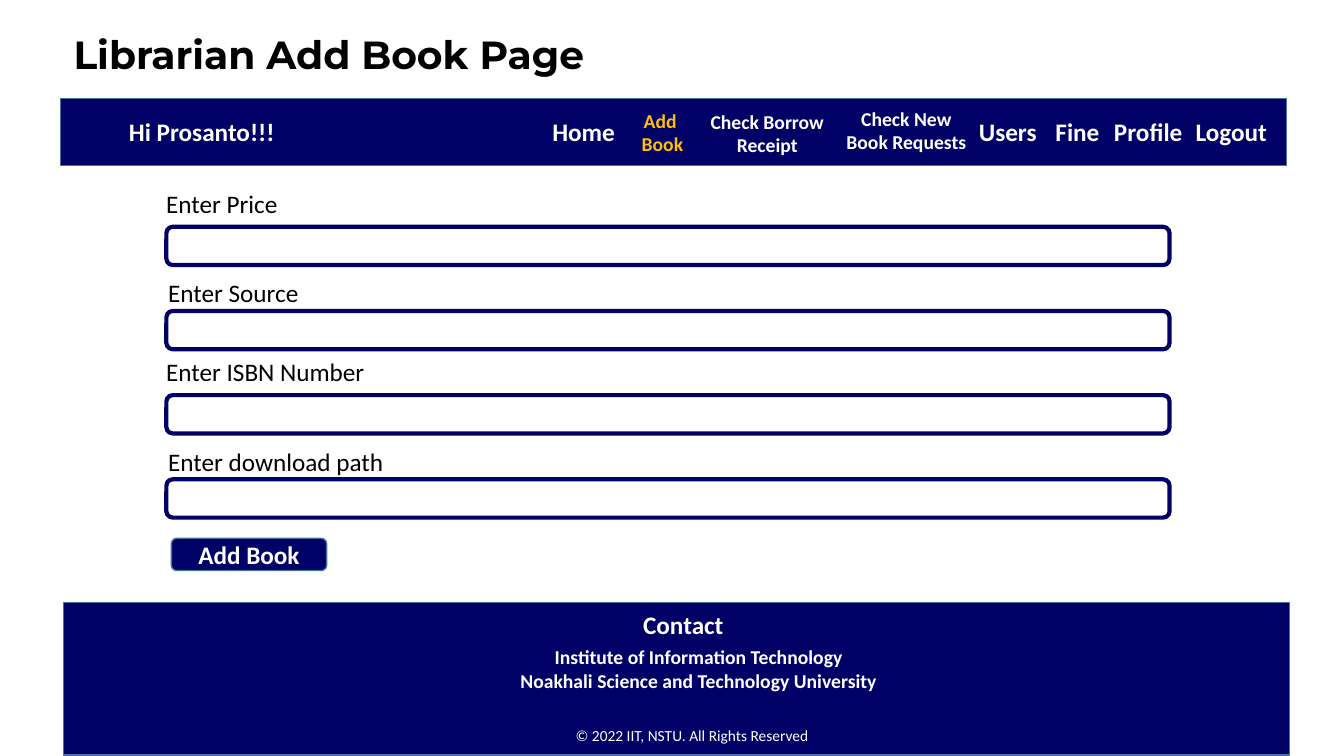
from pptx import Presentation
from pptx.dml.color import RGBColor
from pptx.enum.shapes import MSO_SHAPE
from pptx.enum.text import MSO_ANCHOR, PP_ALIGN
from pptx.util import Inches, Pt

RECT, ROUNDED = MSO_SHAPE.RECTANGLE, MSO_SHAPE.ROUNDED_RECTANGLE
LEFT, CENTER = PP_ALIGN.LEFT, PP_ALIGN.CENTER
MIDDLE = MSO_ANCHOR.MIDDLE
NAVY = RGBColor(0x00, 0x00, 0x66)
STEEL = RGBColor(0x43, 0x73, 0x9E)
GOLD = RGBColor(0xFF, 0xC0, 0x00)
WHITE = RGBColor(0xFF, 0xFF, 0xFF)
BLACK = RGBColor(0x00, 0x00, 0x00)

prs = Presentation()
prs.slide_width, prs.slide_height = Inches(13.33), Inches(7.5)
s = prs.slides.add_slide(prs.slide_layouts[5])


def write(text, box=None, sp=None, size=18, color=WHITE, bold=True,
          font="Calibri", align=LEFT, wrap=True):
    """Write text, one paragraph per line, in sp or in a new text box at box."""
    sp = sp or s.shapes.add_textbox(*map(Inches, box))
    tf = sp.text_frame
    tf.word_wrap = wrap
    for i, line in enumerate(text.split("\n")):
        p = tf.paragraphs[0] if i == 0 else tf.add_paragraph()
        p.alignment = align
        r = p.add_run()
        r.text = line
        r.font.name, r.font.size, r.font.bold = font, Pt(size), bold
        r.font.color.rgb = color
    return tf


def add_box(kind, box, fill=NAVY, line=STEEL, width=1):
    sp = s.shapes.add_shape(kind, *map(Inches, box))
    sp.shadow.inherit = False
    sp.fill.solid()
    sp.fill.fore_color.rgb = fill
    sp.line.color.rgb = line
    sp.line.width = Pt(width)
    return sp


# Title
title = s.shapes.title
title.left, title.top, title.width, title.height = map(Inches, (0.63, 0.32, 5.54, 0.49))
tf = write("Librarian Add Book Page", sp=title, size=28, color=BLACK, font="Montserrat")
tf.vertical_anchor = MIDDLE
tf.paragraphs[0].line_spacing = 0.9

# Navigation bar
add_box(RECT, (0.6, 0.98, 12.16, 0.66))
for text, left, top, width in [
    ("Hi Prosanto!!!", 1.18, 1.11, 1.72),
    ("Home", 5.38, 1.1, 0.83),
    ("Users", 9.61, 1.11, 0.78),
    ("Fine", 10.37, 1.11, 0.64),
    ("Profile", 10.95, 1.1, 0.89),
    ("Logout", 11.76, 1.1, 0.92),
]:
    write(text, (left, top, width, 0.4), wrap=False)

write("Add \nBook", (6.26, 1.03, 0.62, 0.57), size=14, color=GOLD, align=CENTER, wrap=False)
for text, left, top, width in [
    ("Check Borrow Receipt", 6.92, 1.04, 1.38),
    ("Check New Book Requests", 8.26, 1.01, 1.46),
]:
    write(text, (left, top, width, 0.57), size=14, align=CENTER)

# Form fields
FIELD_TOP, FIELD_PITCH = 2.25, 0.835
for i, (label, left, rise) in enumerate([
    ("Enter Price", 1.55, 0.43),
    ("Enter Source", 1.57, 0.38),
    ("Enter ISBN Number", 1.55, 0.43),
    ("Enter download path", 1.57, 0.38),
]):
    top = FIELD_TOP + i * FIELD_PITCH
    write(label, (left, top - rise, 3, 0.4), color=BLACK, bold=False)
    add_box(ROUNDED, (1.65, top, 9.95, 0.38), fill=WHITE, line=NAVY, width=3)

button = add_box(ROUNDED, (1.7, 5.34, 1.54, 0.32))
write("Add Book", sp=button, align=CENTER).vertical_anchor = MIDDLE

# Footer
add_box(RECT, (0.63, 5.98, 12.16, 1.51))
write("Contact", (6.28, 6, 1.01, 0.4), wrap=False)
write("Institute of Information Technology\nNoakhali Science and Technology University",
      (4.59, 6.35, 4.68, 0.57), size=14, align=CENTER)
write("© 2022 IIT, NSTU. All Rights Reserved", (5.58, 7.15, 2.57, 0.29),
      size=11, bold=False, align=CENTER)

prs.save("out.pptx")
